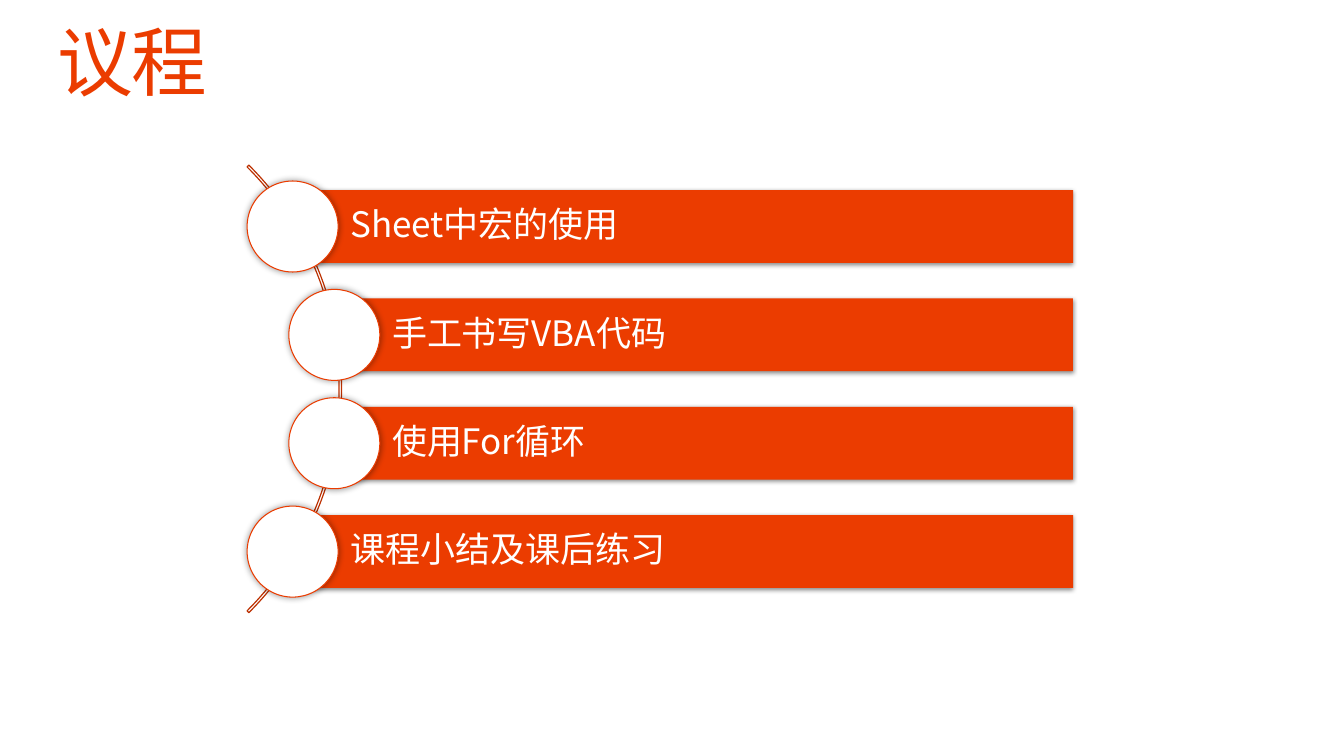
from lxml.etree import SubElement
from pptx import Presentation
from pptx.dml.color import RGBColor
from pptx.enum.shapes import MSO_SHAPE
from pptx.enum.text import MSO_ANCHOR, MSO_AUTO_SIZE, PP_ALIGN
from pptx.oxml.ns import qn
from pptx.util import Pt

AGENDA = ["Sheet中宏的使用", "手工书写VBA代码", "使用For循环", "课程小结及课后练习"]
INDENTED = (1, 2)
BAR_TOP, BAR_PITCH, BAR_HEIGHT, BAR_RIGHT = 135.8, 77.4, 52, 766.5
OUTER_LEFT, INNER_LEFT = 209, 238.8
CIRCLE = 65


def rgb(color):
    """Turn a hex string into a colour."""
    return RGBColor.from_string(color)


def add_shadow(sp, alpha, blur, distance, angle):
    """Give a shape an outer black shadow; alpha in percent, lengths in points."""
    effects = sp._element.spPr.find(qn("a:effectLst"))
    shadow = SubElement(effects, qn("a:outerShdw"), blurRad=str(Pt(blur)),
                        dist=str(Pt(distance)), dir=str(angle * 60000),
                        rotWithShape="0")
    black = SubElement(shadow, qn("a:srgbClr"), val="000000")
    SubElement(black, qn("a:alpha"), val=str(alpha * 1000))


class AgendaSlide:
    """Holds the style and the current slide."""

    accent, dark, white = "EB3C00", "BC3000", "FFFFFF"
    latin, cjk = "Open Sans", "Noto Sans CJK SC"

    def __init__(self, prs):
        """Add a slide that has only a title."""
        self.s = prs.slides.add_slide(prs.slide_layouts[5])

    def set_text(self, sp, text, size, color, font, insets=(0, 0, 0, 0), spacing=None):
        """Set one left-aligned line of text, vertically centred."""
        tf = sp.text_frame
        tf.word_wrap, tf.auto_size = True, MSO_AUTO_SIZE.NONE
        tf.vertical_anchor = MSO_ANCHOR.MIDDLE
        (tf.margin_left, tf.margin_top,
         tf.margin_right, tf.margin_bottom) = map(Pt, insets)
        p = tf.paragraphs[0]
        p.alignment, p.line_spacing = PP_ALIGN.LEFT, 0.9
        r = p.add_run()
        r.text = text
        r.font.size, r.font.name = Pt(size), font
        r.font.color.rgb = rgb(color)
        props = r.font._element
        props.set("lang", "zh-CN")
        SubElement(props, qn("a:ea"), typeface=self.cjk)
        if spacing is not None:
            props.set("spc", str(spacing * 100))

    def title(self, text, x, y, w, h):
        """Place and fill the title placeholder."""
        sp = self.s.shapes.title
        sp.left, sp.top, sp.width, sp.height = map(Pt, (x, y, w, h))
        self.set_text(sp, text, 54, self.accent, self.latin, spacing=-1)

    def shape(self, kind, x, y, w, h, fill=None, line=None, line_width=0.75):
        """Add a preset shape with an optional fill and line."""
        sp = self.s.shapes.add_shape(kind, *map(Pt, (x, y, w, h)))
        sp.shadow.inherit = False
        if fill:
            sp.fill.solid()
            sp.fill.fore_color.rgb = rgb(fill)
        else:
            sp.fill.background()
        if line:
            sp.line.color.rgb = rgb(line)
            sp.line.width = Pt(line_width)
        else:
            sp.line.fill.background()
        return sp

    def arc(self, x, y, size):
        """Add the thin quarter ring that links the circles."""
        sp = self.shape(MSO_SHAPE.BLOCK_ARC, x, y, size, size,
                        line=self.dark, line_width=0.85)
        for i, value in enumerate((189, 27, 0.004)):
            sp.adjustments[i] = value

    def item(self, text, x, y):
        """Add an agenda bar with a circle centred on its left edge."""
        bar = self.shape(MSO_SHAPE.RECTANGLE, x, y, BAR_RIGHT - x, BAR_HEIGHT,
                         fill=self.accent)
        add_shadow(bar, 45, 3.5, 1.1, 90)
        self.set_text(bar, text, 25, self.white, self.cjk, insets=(41.3, 5, 5, 5))
        circle = self.shape(MSO_SHAPE.OVAL, x - CIRCLE / 2,
                            y + (BAR_HEIGHT - CIRCLE) / 2, CIRCLE, CIRCLE,
                            fill=self.white, line=self.accent)
        add_shadow(circle, 40, 5, 0, 0)


def main():
    """Build the agenda slide and save it."""
    prs = Presentation()
    prs.slide_width, prs.slide_height = Pt(960), Pt(540)
    slide = AgendaSlide(prs)
    slide.title("议程", 41, 18, 878, 59)
    slide.arc(-208, 51.8, 452)
    for i, text in enumerate(AGENDA):
        left = INNER_LEFT if i in INDENTED else OUTER_LEFT
        slide.item(text, left, BAR_TOP + i * BAR_PITCH)
    prs.save("out.pptx")


main()
